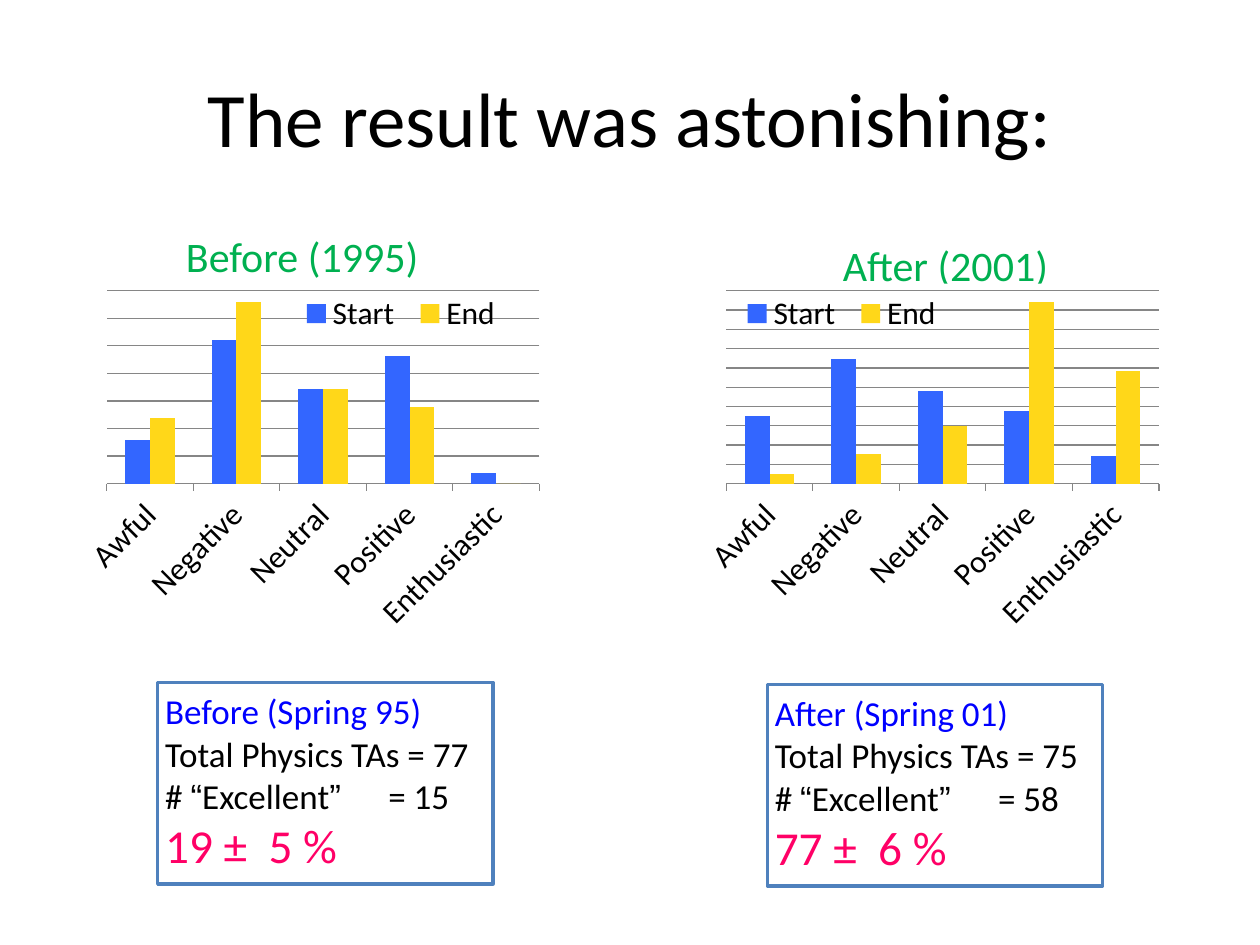
import lxml.etree
import pptx
import pptx.chart.data
import pptx.dml.color
import pptx.enum.chart
import pptx.enum.shapes
import pptx.enum.text
import pptx.oxml.ns
import pptx.util

Cm = pptx.util.Cm
Pt = pptx.util.Pt
qn = pptx.oxml.ns.qn
RGBColor = pptx.dml.color.RGBColor

BLACK = RGBColor(0x00, 0x00, 0x00)
WHITE = RGBColor(0xFF, 0xFF, 0xFF)
GREEN = RGBColor(0x00, 0xB0, 0x50)
BLUE = RGBColor(0x00, 0x00, 0xFF)
PINK = RGBColor(0xFF, 0x00, 0x66)
FRAME = RGBColor(0x4F, 0x81, 0xBD)
GRID = RGBColor(0x86, 0x86, 0x86)
START = RGBColor(0x33, 0x66, 0xFF)
END = RGBColor(0xFF, 0xD7, 0x19)

RATINGS = ["Awful", "Negative", "Neutral", "Positive", "Enthusiastic"]
PLOT_AREA = (0.13, 0.07, 0.75, 0.51)


class SurveySlide:
    """Hold the text style and the current slide, and draw its elements."""

    font = "Calibri"
    quote_font = "Arial"
    inset = Cm(0.15)

    def __init__(self, presentation):
        self.slide = presentation.slides.add_slide(presentation.slide_layouts[6])

    def style(self, font, size, color, name=None):
        for key, value in {"name": name or self.font, "size": Pt(size)}.items():
            setattr(font, key, value)
        font.color.rgb = color

    def add_text(self, paragraph, text, size, color):
        for piece in text.replace("“", "|“|").replace("”", "|”|").split("|"):
            run = paragraph.add_run()
            run.text = piece
            self.style(run.font, size, color, self.quote_font if piece in "“”" else None)

    def frame(self, shape, anchor=pptx.enum.text.MSO_ANCHOR.TOP):
        text_frame = shape.text_frame
        formats = {"word_wrap": True, "vertical_anchor": anchor}
        formats.update({f"margin_{side}": self.inset for side in ("left", "top", "right", "bottom")})
        for key, value in formats.items():
            setattr(text_frame, key, value)
        return text_frame

    def label(self, place, text, size, color, align, anchor):
        text_frame = self.frame(self.slide.shapes.add_textbox(*map(Cm, place)), anchor)
        paragraph = text_frame.paragraphs[0]
        paragraph.alignment = align
        self.add_text(paragraph, text, size, color)

    def panel(self, place, line=None):
        shape = self.slide.shapes.add_shape(pptx.enum.shapes.MSO_SHAPE.RECTANGLE, *map(Cm, place))
        shape.shadow.inherit = False
        shape.fill.solid()
        shape.fill.fore_color.rgb = WHITE
        if line is None:
            shape.line.fill.background()
        else:
            shape.line.color.rgb = line
            shape.line.width = Pt(2)
        return shape

    def summary(self, place, lines):
        text_frame = self.frame(self.panel(place, FRAME))
        for number, (text, size, color) in enumerate(lines):
            paragraph = text_frame.add_paragraph() if number else text_frame.paragraphs[0]
            paragraph.alignment = pptx.enum.text.PP_ALIGN.LEFT
            if "\t" in text:
                tabs = lxml.etree.SubElement(paragraph._p.get_or_add_pPr(), qn("a:tabLst"))
                tab = lxml.etree.SubElement(tabs, qn("a:tab"))
                tab.set("pos", str(Cm(4.5)))
                tab.set("algn", "l")
            self.add_text(paragraph, text, size, color)

    def fix_layout(self, parent, index, box, inner=False):
        old = parent.find(qn("c:layout"))
        if old is not None:
            parent.remove(old)
        layout = lxml.etree.Element(qn("c:layout"))
        manual = lxml.etree.SubElement(layout, qn("c:manualLayout"))
        values = {"layoutTarget": "inner"} if inner else {}
        values.update(xMode="edge", yMode="edge")
        values.update(zip("xywh", map(str, box)))
        for tag, value in values.items():
            lxml.etree.SubElement(manual, qn(f"c:{tag}")).set("val", value)
        parent.insert(index, layout)

    def columns(self, place, start, end, maximum, step, legend_box):
        data = pptx.chart.data.CategoryChartData()
        data.categories = RATINGS
        data.add_series("Start", start)
        data.add_series("End", end)
        kind = pptx.enum.chart.XL_CHART_TYPE.COLUMN_CLUSTERED
        chart = self.slide.shapes.add_chart(kind, *map(Cm, place), data).chart
        self.style(chart.font, 18, BLACK)
        plot, ratings, counts = chart.plots[0], chart.category_axis, chart.value_axis
        for target, formats in (
            (chart, {"has_title": False, "has_legend": True}),
            (plot, {"gap_width": 150, "overlap": 0, "vary_by_categories": False}),
            (ratings, {"major_tick_mark": pptx.enum.chart.XL_TICK_MARK.OUTSIDE}),
            (counts, {"minimum_scale": 0, "maximum_scale": maximum, "major_unit": step,
                      "has_major_gridlines": True, "visible": False}),
        ):
            for key, value in formats.items():
                setattr(target, key, value)
        for line in (ratings.format.line, counts.major_gridlines.format.line):
            line.color.rgb = GRID
            line.width = Pt(0.75)
        for series, color in zip(plot.series, (START, END)):
            series.format.fill.solid()
            series.format.fill.fore_color.rgb = color
        self.style(ratings.tick_labels.font, 18, BLACK)
        ratings._element.find(qn("c:txPr")).find(qn("a:bodyPr")).set("rot", "-2700000")
        chart.legend.position = pptx.enum.chart.XL_LEGEND_POSITION.RIGHT
        chart.legend.include_in_layout = False
        self.fix_layout(chart.legend._element, 1, legend_box)
        self.fix_layout(chart._chartSpace.chart.plotArea, 0, PLOT_AREA, inner=True)


def main():
    presentation = pptx.Presentation()
    presentation.slide_width, presentation.slide_height = Cm(25.4), Cm(19.05)
    survey = SurveySlide(presentation)
    align, anchor = pptx.enum.text.PP_ALIGN, pptx.enum.text.MSO_ANCHOR
    survey.label((1.27, 0.76, 22.86, 3.18), "The result was astonishing:", 44, BLACK,
                 align.CENTER, anchor.MIDDLE)
    terms = (
        dict(name="Before", year=1995, term="Spring 95", total=77, excellent=15, share="19 ±  5 %",
             box=(3.18, 13.76), heading=(3.6, 4.5, 5.12, 1.3), cover=(2.34, 5.74, 9.14, 0.81),
             chart_left=0.64, start=(24, 79, 52, 70, 6), end=(36, 100, 52, 42, 0),
             maximum=106.05, step=15.15, legend_left=0.45),
        dict(name="After", year=2001, term="Spring 01", total=75, excellent=58, share="77 ±  6 %",
             box=(15.47, 13.8), heading=(16.84, 4.68, 4.6, 1.3), cover=(14.48, 5.72, 9.09, 0.81),
             chart_left=13.13, start=(37, 69, 51, 40, 15), end=(5, 16, 32, 100, 62),
             maximum=106.4, step=10.64, legend_left=0.14),
    )
    for term in terms:
        survey.summary((*term["box"], 6.76, 4.06), (
            (f"{term['name']} ({term['term']})", 20, BLUE),
            (f"Total Physics TAs = {term['total']}", 20, BLACK),
            (f"# “Excellent”\t= {term['excellent']}", 20, BLACK),
            (term["share"], 27, PINK),
        ))
        survey.label(term["heading"], f"{term['name']} ({term['year']})", 24, GREEN,
                     align.LEFT, anchor.TOP)
        survey.panel(term["cover"])
        survey.columns((term["chart_left"], 5.33, 11.63, 7.62), term["start"], term["end"],
                       term["maximum"], term["step"], (term["legend_left"], 0.08, 0.38, 0.1))
    presentation.save("out.pptx")


if __name__ == "__main__":
    main()
